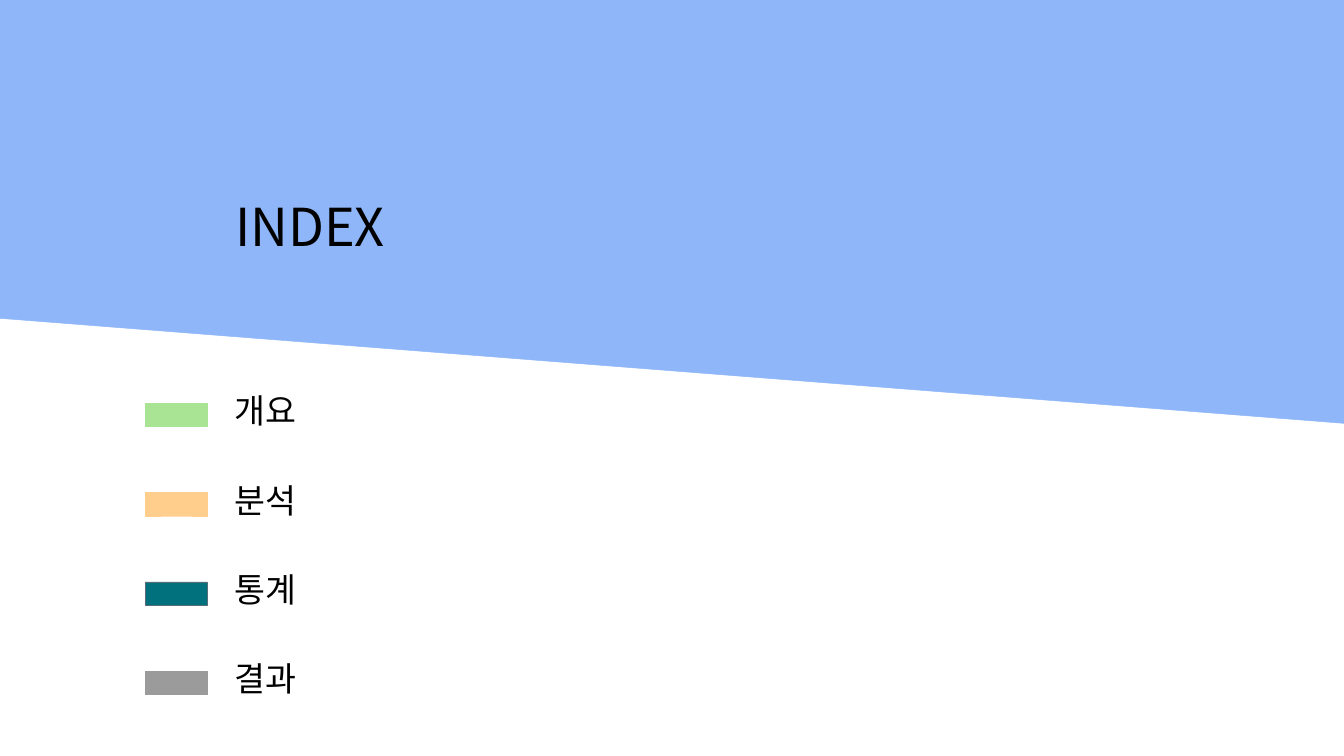
from lxml.etree import SubElement
from pptx import Presentation
from pptx.dml.color import RGBColor
from pptx.enum.shapes import MSO_SHAPE as Shape
from pptx.enum.text import MSO_ANCHOR as Anchor, PP_ALIGN as Align
from pptx.oxml.ns import qn
from pptx.util import Pt

FONT = "Noto Sans CJK KR"
COLORS = {
    "text": "000000", "band": "8EB6F8", "green": "A9E494", "orange": "FFCD8C",
    "teal": "00717D", "slate": "586D77", "gray": "9B9B9B",
}
ENTRIES = [  # label, swatch fill, swatch outline
    ("개요", "green", "green"),
    ("분석", "orange", "orange"),
    ("통계", "teal", "slate"),
    ("결과", "gray", "gray"),
]
SLIDE_WIDTH, SLIDE_HEIGHT = 720, 405
ROW_PITCH = 47.8


def paint(shape, fill, outline):
    shape.shadow.inherit = False
    shape.fill.solid()
    shape.fill.fore_color.rgb = RGBColor.from_string(COLORS[fill])
    shape.line.color.rgb = RGBColor.from_string(COLORS[outline])
    shape.line.width = Pt(0.25)


def write(frame, text, size):
    """Set one left-aligned line, using FONT for Latin and Korean letters."""
    frame.word_wrap = True
    frame.vertical_anchor = Anchor.TOP
    line = frame.paragraphs[0]
    line.text = text
    line.alignment = Align.LEFT
    line.line_spacing = 0.9
    line.font.size = Pt(size)
    line.font.color.rgb = RGBColor.from_string(COLORS["text"])
    line.font.name = FONT
    defaults = line._p.pPr.find(qn("a:defRPr"))
    SubElement(defaults, qn("a:ea")).set("typeface", FONT)


def add_band(slide, left, top, width, height):
    """Draw the header band, whose lower edge slopes down to the right."""
    left_height = height * 0.752
    outline = slide.shapes.build_freeform(Pt(left + width), Pt(top))
    outline.add_line_segments([
        (Pt(left), Pt(top)),
        (Pt(left), Pt(top + left_height)),
        (Pt(left + width), Pt(top + height)),
    ])
    paint(outline.convert_to_shape(), "band", "band")


def add_heading(slide, left, top, width, height):
    title = slide.shapes.title
    title.left, title.top = Pt(left), Pt(top)
    title.width, title.height = Pt(width), Pt(height)
    write(title.text_frame, "INDEX", 28)
    # The title comes with the layout, so bring it in front of the band.
    slide.shapes._spTree.append(title._element)


def add_entry(slide, left, top, width, height, label, fill, outline):
    """Place a colour swatch and its label side by side."""
    swatch_width, swatch_height, label_offset = 33.4, 12.5, 41
    swatch = slide.shapes.add_shape(
        Shape.RECTANGLE, Pt(left), Pt(top + (height - swatch_height) / 2),
        Pt(swatch_width), Pt(swatch_height))
    paint(swatch, fill, outline)
    caption = slide.shapes.add_textbox(
        Pt(left + label_offset), Pt(top), Pt(width - label_offset), Pt(height))
    write(caption.text_frame, label, 18)


def add_index(slide, left, top, width, row_height):
    for row, entry in enumerate(ENTRIES):
        add_entry(slide, left, top + row * ROW_PITCH, width, row_height, *entry)


def main():
    deck = Presentation()
    deck.slide_width, deck.slide_height = Pt(SLIDE_WIDTH), Pt(SLIDE_HEIGHT)
    slide = deck.slides.add_slide(deck.slide_layouts.get_by_name("Title Only"))
    add_band(slide, 0, 0, SLIDE_WIDTH, 226.8)
    add_heading(slide, 118.8, 104.4, 200.9, 41)
    add_index(slide, 77.8, 208, 250.5, 28.8)
    deck.save("out.pptx")


if __name__ == "__main__":
    main()
